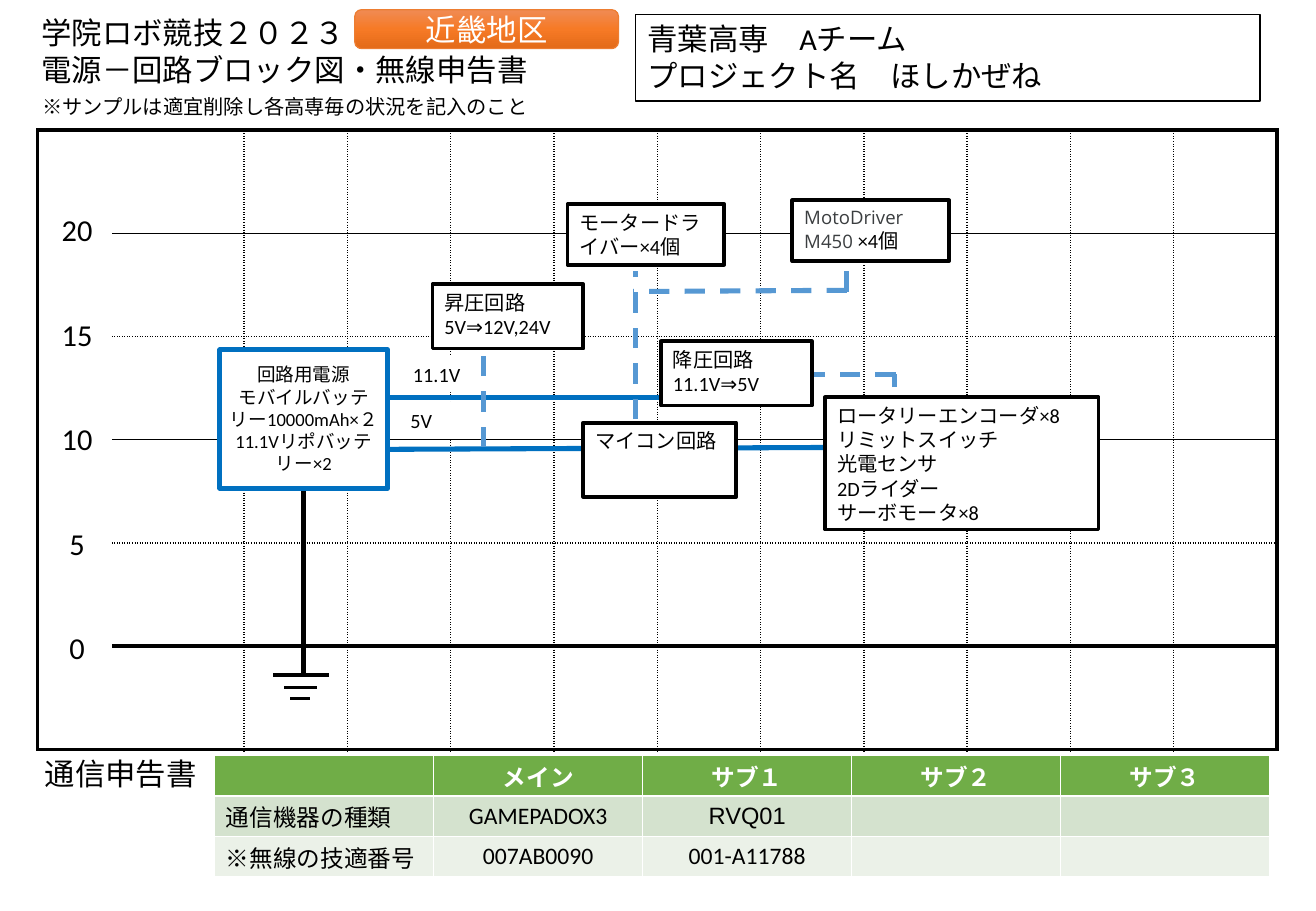
import copy
import dataclasses

import pptx
import pptx.dml.color
import pptx.enum.dml
import pptx.enum.shapes
import pptx.enum.text
import pptx.oxml
import pptx.oxml.ns
import pptx.util
from pptx.util import Inches

ALIGN = pptx.enum.text.PP_ALIGN
ANCHOR = pptx.enum.text.MSO_ANCHOR
SHAPE = pptx.enum.shapes.MSO_SHAPE


@dataclasses.dataclass(frozen=True)
class Theme:
    """Colours, fonts and type sizes of the slide."""
    black: str = "000000"
    white: str = "FFFFFF"
    power: str = "0070C0"
    signal: str = "5698D3"
    gray: str = "3B3E40"
    orange: str = "ED7D31"
    blend: tuple = ("F08B54", "F67A26", "E36A18")
    bands: tuple = ("70AD47", "D4E2CE", "EBF1E8")
    font: str = "Calibri"
    head: str = "Arial"
    model: str = "Open Sans"
    big: int = 18
    mid: int = 14
    small: int = 12
    tiny: int = 11


THEME = Theme()


def color(code):
    """Return the RGB colour for a hex code."""
    return pptx.dml.color.RGBColor.from_string(code)


def style(run, size, code=THEME.black, font=THEME.font, bold=False):
    """Format one run."""
    run.font.size = pptx.util.Pt(size)
    run.font.name = font
    run.font.bold = bold
    run.font.color.rgb = color(code)


def write(frame, text, size, align=ALIGN.LEFT, **look):
    """Fill a text frame and format all its runs."""
    frame.text = text
    for para in frame.paragraphs:
        para.alignment = align
        for run in para.runs:
            style(run, size, **look)


def setup(frame, anchor=ANCHOR.TOP, pad=(0.1, 0.05)):
    """Set wrapping, anchor and insets of a text frame."""
    frame.word_wrap = True
    frame.auto_size = pptx.enum.text.MSO_AUTO_SIZE.NONE
    frame.vertical_anchor = anchor
    frame.margin_left = frame.margin_right = Inches(pad[0])
    frame.margin_top = frame.margin_bottom = Inches(pad[1])


def box(shapes, place, text, size=THEME.small, edge=None, width=2.25, kind=SHAPE.RECTANGLE,
        anchor=ANCHOR.TOP, pad=(0.1, 0.05), **look):
    """Add a white box with text and an optional outline."""
    shape = shapes.add_shape(kind, *map(Inches, place))
    shape.shadow.inherit = False
    shape.fill.solid()
    shape.fill.fore_color.rgb = color(THEME.white)
    if edge:
        shape.line.color.rgb = color(edge)
        shape.line.width = pptx.util.Pt(width)
    else:
        shape.line.fill.background()
    setup(shape.text_frame, anchor, pad)
    write(shape.text_frame, text, size, **look)
    return shape


def label(shapes, place, text, size):
    """Add a plain text box."""
    frame = shapes.add_textbox(*map(Inches, place)).text_frame
    setup(frame)
    write(frame, text, size)


def wire(shapes, ends, code, width=3.0, dash=False):
    """Add a straight line between two points."""
    line = shapes.add_connector(pptx.enum.shapes.MSO_CONNECTOR.STRAIGHT, *map(Inches, ends))
    line.line.color.rgb = color(code)
    line.line.width = pptx.util.Pt(width)
    if dash:
        line.line.dash_style = pptx.enum.dml.MSO_LINE.DASH
    line._element.spPr.append(pptx.oxml.parse_xml(
        f'<a:effectLst {pptx.oxml.ns.nsdecls("a")}/>'))


def border(cell, side, edge):
    """Draw one border of a table cell, or clear it."""
    width, dash = edge or (0, "solid")
    fill = f'<a:solidFill><a:srgbClr val="{THEME.black}"/></a:solidFill>' if edge else "<a:noFill/>"
    cell._tc.get_or_add_tcPr().append(pptx.oxml.parse_xml(
        f'<a:ln{side} {pptx.oxml.ns.nsdecls("a")} w="{pptx.util.Pt(width)}">'
        f'{fill}<a:prstDash val="{dash}"/></a:ln{side}>'))


def paint(cell, code):
    """Fill a table cell."""
    cell.fill.solid()
    cell.fill.fore_color.rgb = color(code)


def table(shapes, place, widths, rows):
    """Add an empty table with the given column widths."""
    grid = shapes.add_table(rows, len(widths), *map(Inches, place)).table
    for col, width in zip(grid.columns, widths):
        col.width = Inches(width)
    return grid


def chart(shapes):
    """Draw the voltage grid and its scale."""
    grid = table(shapes, (0.31, 1.07, 10.2, 5.1), [0.61, 1.09] + [0.85] * 10, 6)
    frame, thin = (2.25, "solid"), (1, "dot")
    levels = [frame, (1, "solid"), thin, (1, "solid"), thin, (3, "solid"), frame]
    posts = [frame, None] + [thin] * 10 + [frame]
    for r in range(6):
        for c in range(12):
            cell = grid.cell(r, c)
            top = levels[r] if c or r == 0 else None
            base = levels[r + 1] if c or r == 5 else None
            for side, edge in zip("LRTB", (posts[c], posts[c + 1], top, base)):
                border(cell, side, edge)
            paint(cell, THEME.white)
    for i, volt in enumerate(range(20, -1, -5)):
        box(shapes, (0.35, 1.69 + 0.86 * i, 0.57, 0.4), str(volt), THEME.big,
            anchor=ANCHOR.MIDDLE, align=ALIGN.CENTER)


def wires(shapes):
    """Draw the power lines, signal lines and earth."""
    for ends in ((2.95, 3.27, 5.74, 3.27), (5.43, 3.69, 7.72, 3.68), (3.02, 3.7, 5.31, 3.69)):
        wire(shapes, ends, THEME.power)
    for ends in ((6.97, 2.4, 6.97, 2.03), (7.36, 3.48, 7.36, 3.08), (7.37, 3.08, 6.58, 3.08),
                 (5.23, 3.45, 5.23, 2.23), (3.98, 3.68, 3.98, 2.68), (6.97, 2.39, 5.21, 2.4)):
        wire(shapes, ends, THEME.signal, dash=True)
    wire(shapes, (2.5, 4.02, 2.5, 5.56), THEME.black)
    earth = shapes.add_group_shape().shapes
    for left, right, y in ((2.25, 2.71, 5.56), (2.34, 2.61, 5.66), (2.39, 2.55, 5.75)):
        wire(earth, (left, y, right, y), THEME.black, 2.25)


def blocks(shapes):
    """Place the circuit blocks."""
    box(shapes, (1.81, 2.88, 1.38, 1.14),
        "回路用電源\nモバイルバッテリー10000mAh×２\n11.1Vリポバッテリー×2", THEME.tiny,
        THEME.power, 3, anchor=ANCHOR.MIDDLE, pad=(0.04, 0.02), align=ALIGN.CENTER)
    for place, text in (
            ((4.67, 1.68, 1.29, 0.5), "モータードライバー×4個"),
            ((4.8, 3.48, 1.26, 0.61), "マイコン回路"),
            ((6.79, 3.27, 2.25, 1.09),
             "ロータリーエンコーダ×8\nリミットスイッチ\n光電センサ\n2Dライダー\nサーボモータ×8"),
            ((3.56, 2.34, 1.24, 0.53), "昇圧回路\n5V⇒12V,24V"),
            ((5.44, 2.81, 1.24, 0.53), "降圧回路\n11.1V⇒5V")):
        box(shapes, place, text, edge=THEME.black)
    motor = box(shapes, (6.52, 1.65, 1.29, 0.5), "MotoDriver M450 ", THEME.tiny, THEME.black,
                code=THEME.gray, font=THEME.model)
    count = motor.text_frame.paragraphs[0].add_run()
    count.text = "×4個"
    style(count, THEME.small)


def badge(shapes):
    """Add the orange district badge."""
    shape = box(shapes, (2.92, 0.08, 2.17, 0.32), "近畿地区", THEME.big, THEME.orange, 0.75,
                SHAPE.ROUNDED_RECTANGLE, ANCHOR.MIDDLE, align=ALIGN.CENTER, code=THEME.white)
    shape.adjustments[0] = 0.17
    shape.fill.gradient()
    shape.fill.gradient_angle = 270
    stops = shape._element.spPr.find(".//" + pptx.oxml.ns.qn("a:gsLst"))
    stops.insert(1, copy.deepcopy(stops[0]))
    for i, (stop, code) in enumerate(zip(shape.fill.gradient_stops, THEME.blend)):
        stop.position = i / 2
        stop.color.rgb = color(code)


def radio(shapes):
    """Add the table of radio devices."""
    rows = (("", "メイン", "サブ１", "サブ２", "サブ３"),
            ("通信機器の種類", "GAMEPADOX3", "RVQ01", "", ""),
            ("※無線の技適番号", "007AB0090", "001-A11788", "", ""))
    grid = table(shapes, (1.76, 6.22, 8.71, 1), [1.81] + [1.72] * 4, 3)
    for r, row in enumerate(rows):
        for c, text in enumerate(row):
            cell = grid.cell(r, c)
            paint(cell, THEME.bands[r])
            cell.margin_top = cell.margin_bottom = Inches(0.02 if text else 0)
            cell.vertical_anchor = ANCHOR.MIDDLE
            plain = r and c and (r, c) != (1, 2)
            write(cell.text_frame, text, THEME.mid, ALIGN.CENTER if c else ALIGN.LEFT,
                  code=THEME.black if r else THEME.white,
                  font=THEME.font if plain else THEME.head, bold=r == 0)


def main():
    """Build the slide and save it."""
    deck = pptx.Presentation()
    deck.slide_width, deck.slide_height = Inches(10.83), Inches(7.5)
    slide = deck.slides.add_slide(deck.slide_layouts[5])
    shapes = slide.shapes
    title = shapes.title
    title.left, title.top, title.width, title.height = map(Inches, (0.24, 0.07, 4.7, 0.73))
    setup(title.text_frame)
    write(title.text_frame, "学院ロボ競技２０２３\n電源－回路ブロック図・無線申告書", THEME.big)
    chart(shapes)
    label(shapes, (0.25, 0.73, 4.29, 0.3),
          "※サンプルは適宜削除し各高専毎の状況を記入のこと", THEME.small)
    label(shapes, (0.27, 6.17, 1.46, 0.4), "通信申告書", THEME.big)
    box(shapes, (3.3, 2.93, 0.68, 0.3), "11.1V")
    box(shapes, (3.28, 3.31, 0.56, 0.3), "5V")
    box(shapes, (5.23, 0.12, 5.14, 0.71), "青葉高専　Aチーム\nプロジェクト名　ほしかぜね",
        THEME.big, THEME.black, 1)
    radio(shapes)
    badge(shapes)
    wires(shapes)
    blocks(shapes)
    deck.save("out.pptx")


if __name__ == "__main__":
    main()
